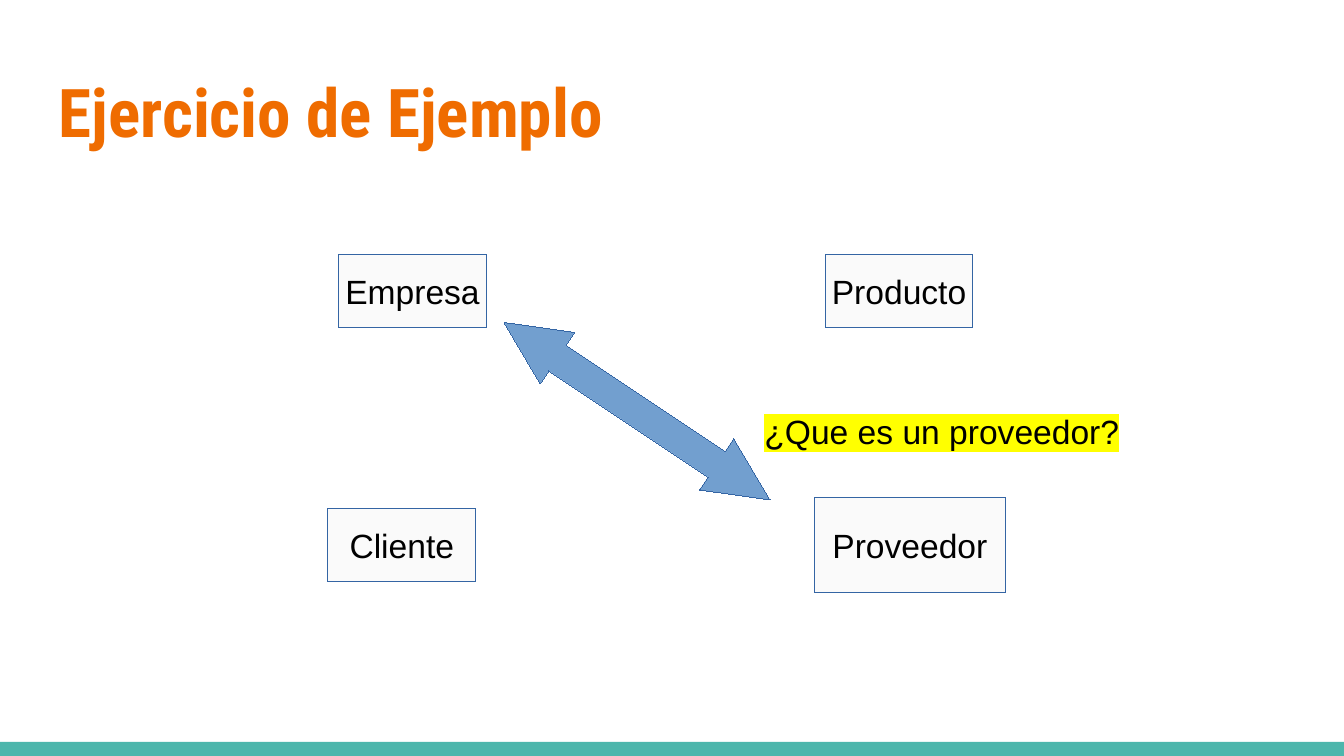
from lxml import etree
from pptx import Presentation
from pptx.dml.color import RGBColor
from pptx.enum.shapes import MSO_SHAPE as Shape
from pptx.enum.text import MSO_ANCHOR as Anchor, PP_ALIGN as Align
from pptx.oxml.ns import qn
from pptx.util import Inches, Pt

TEAL = RGBColor(0x4D, 0xB6, 0xAC)
ORANGE = RGBColor(0xEF, 0x6C, 0x00)
PALE = RGBColor(0xFA, 0xFA, 0xFA)
BLUE = RGBColor(0x72, 0x9F, 0xCF)
OUTLINE = RGBColor(0x34, 0x65, 0xA4)
BLACK = RGBColor(0, 0, 0)
YELLOW = RGBColor(0xFF, 0xFF, 0)

WIDTH = Inches(10)
HEIGHT = WIDTH * 9 // 16
ENTITIES = {
    "Empresa": (2.52, 1.89, 1.1, 0.55),
    "Producto": (6.14, 1.89, 1.1, 0.55),
    "Cliente": (2.44, 3.78, 1.1, 0.55),
    "Proveedor": (6.06, 3.7, 1.42, 0.71),
}


def add_filled(slide, preset, box, fill, outline=None):
    shape = slide.shapes.add_shape(preset, *map(Inches, box))
    shape.shadow.inherit = False
    shape.fill.solid()
    shape.fill.fore_color.rgb = fill
    if outline is None:
        shape.line.fill.background()
    else:
        shape.line.color.rgb = outline
        # A hairline needs an explicit zero width, which line.width omits.
        shape._element.spPr.find(qn("a:ln")).set("w", "0")
    return shape


def write(frame, text, size=18, font="Arial", color=BLACK, bold=False):
    frame.text = text
    run = frame.paragraphs[0].runs[0]
    run.font.size = Pt(size)
    run.font.name = font
    run.font.bold = bold
    run.font.color.rgb = color
    return run


def highlight(run, color):
    fill = run.font._element.find(qn("a:solidFill"))
    mark = etree.Element(qn("a:highlight"))
    etree.SubElement(mark, qn("a:srgbClr"), val=str(color))
    fill.addnext(mark)


def add_title(slide, box):
    frame = slide.shapes.add_textbox(*map(Inches, box)).text_frame
    frame.word_wrap = True
    frame.margin_top = frame.margin_bottom = Inches(0.1)
    write(frame, "Ejercicio de Ejemplo", 36, "Roboto Condensed", ORANGE, True)
    frame.paragraphs[0].line_spacing = 0.9


def add_entity(slide, name, box):
    frame = add_filled(slide, Shape.RECTANGLE, box, PALE, OUTLINE).text_frame
    frame.word_wrap = False
    frame.vertical_anchor = Anchor.MIDDLE
    write(frame, name)
    frame.paragraphs[0].alignment = Align.CENTER


def add_relation(slide, box):
    arrow = add_filled(slide, Shape.LEFT_RIGHT_ARROW, box, BLUE, OUTLINE)
    arrow.rotation = 33.7
    arrow.adjustments[0] = 0.5
    arrow.adjustments[1] = 1.04


def add_question(slide, box):
    frame = slide.shapes.add_textbox(*map(Inches, box)).text_frame
    frame.word_wrap = True
    highlight(write(frame, "¿Que es un proveedor?"), YELLOW)


def main():
    deck = Presentation()
    deck.slide_width, deck.slide_height = WIDTH, HEIGHT
    slide = deck.slides.add_slide(deck.slide_layouts[6])
    add_filled(slide, Shape.RECTANGLE, (0, 5.52, 10, 0.11), TEAL)
    for name, box in ENTITIES.items():
        add_entity(slide, name, box)
    add_relation(slide, (3.55, 2.83, 2.38, 0.46))
    add_question(slide, (5.59, 3.01, 3.07, 0.38))
    add_title(slide, (0.34, 0.49, 9.32, 0.77))
    deck.save("out.pptx")


if __name__ == "__main__":
    main()
